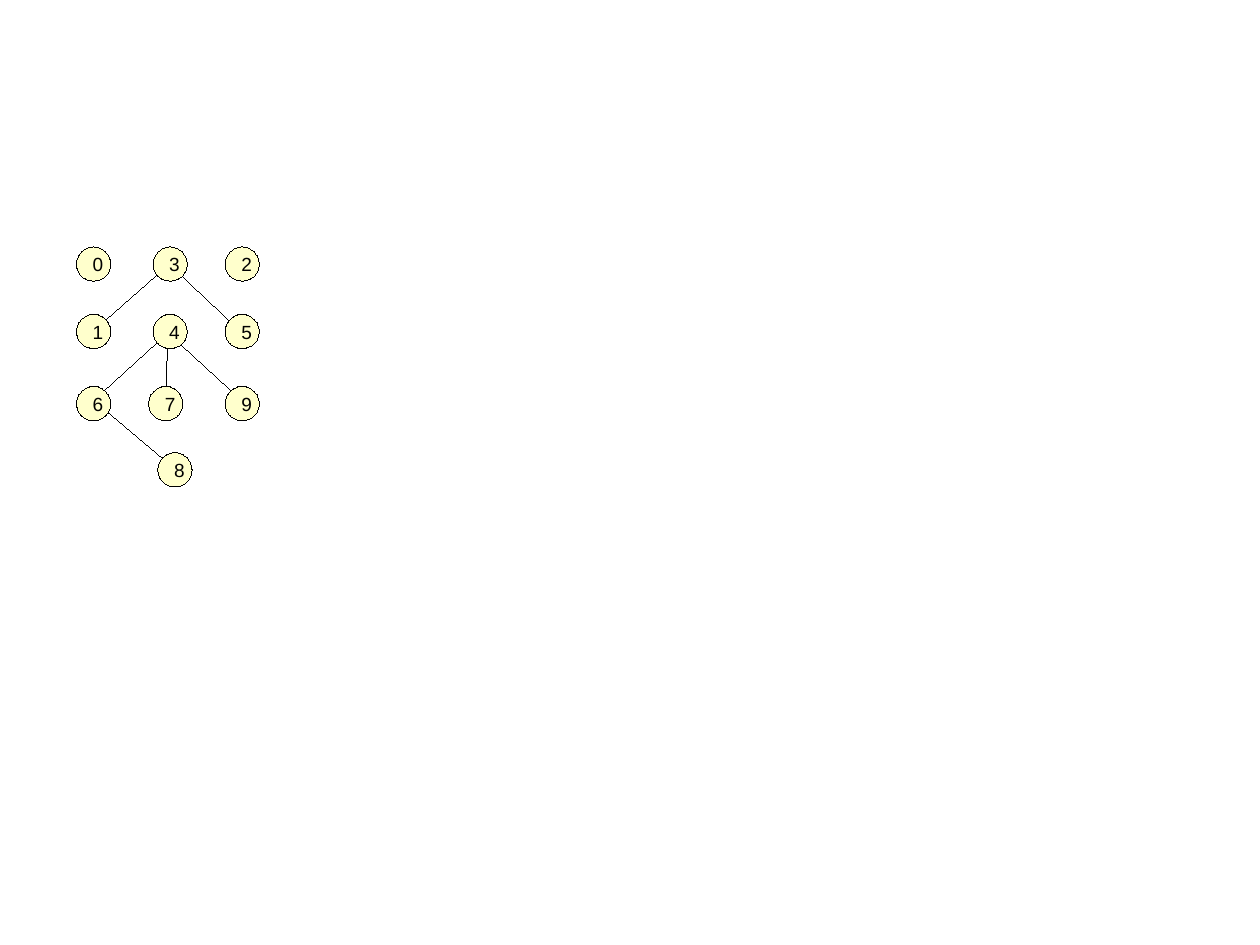
"""Draw a forest of numbered nodes joined by parent-child lines."""
from pptx import Presentation
from pptx.dml.color import RGBColor
from pptx.enum.shapes import MSO_CONNECTOR as LINE, MSO_SHAPE as SHAPE
from pptx.enum.text import MSO_ANCHOR as ANCHOR, PP_ALIGN as ALIGN
from pptx.oxml.ns import qn
from pptx.util import Pt
from lxml.etree import SubElement

LEFT, MIDDLE, RIGHT = 59, 107.2, 152.6
ROWS = [
    (166.3, [("0", LEFT), ("3", MIDDLE), ("2", RIGHT)]),
    (208.8, [("1", LEFT), ("4", MIDDLE), ("5", RIGHT)]),
    (254.2, [("6", LEFT), ("7", 104.4), ("9", RIGHT)]),
    (295.9, [("8", 110.2)]),
]
EDGES = [("3", "1"), ("4", "6"), ("4", "9"), ("4", "7"), ("6", "8"), ("3", "5")]
JOINTS = {
    "1": (58.3, 208.8), "3": (106.6, 166.3), "4": (105.8, 209.5),
    "5": (151.9, 208.8), "6": (59, 252), "7": (104.4, 250.6),
    "8": (110.2, 295.2), "9": (149, 249.1),
}
DIAMETER, HAIRLINE = 21.6, 0.01
INK, CREAM = "000000", "FFFFCC"


def paint(target, color):
    target.solid()
    target.fore_color.rgb = RGBColor.from_string(color)


def outline(line):
    paint(line.fill, INK)
    line.width = Pt(HAIRLINE)


def write(tf, text, size=12, font="Arial", color=INK, align=ALIGN.CENTER):
    tf.word_wrap = True
    tf.vertical_anchor = ANCHOR.MIDDLE
    tf.margin_left = tf.margin_right = Pt(7.2)
    tf.margin_top = tf.margin_bottom = Pt(3.6)
    p = tf.paragraphs[0]
    p.alignment = align
    r = p.add_run()
    r.text = text
    r.font.size, r.font.name = Pt(size), font
    paint(r.font.fill, color)


def add_edge(s, parent, child):
    ends = [Pt(v) for v in JOINTS[parent] + JOINTS[child]]
    edge = s.shapes.add_connector(LINE.STRAIGHT, *ends)
    outline(edge.line)
    SubElement(edge._element.spPr, qn("a:effectLst"))


def add_node(s, label, x, y):
    corner = Pt(x - DIAMETER / 2), Pt(y - DIAMETER / 2)
    sp = s.shapes.add_shape(SHAPE.OVAL, *corner, Pt(DIAMETER), Pt(DIAMETER))
    sp.shadow.inherit = False
    paint(sp.fill, CREAM)
    outline(sp.line)
    write(sp.text_frame, label)


def main():
    prs = Presentation()
    prs.slide_width, prs.slide_height = Pt(793.7), Pt(595.28)
    s = prs.slides.add_slide(prs.slide_layouts[6])
    for parent, child in EDGES:
        add_edge(s, parent, child)
    for y, nodes in ROWS:
        for label, x in nodes:
            add_node(s, label, x, y)
    prs.save("out.pptx")


if __name__ == "__main__":
    main()
